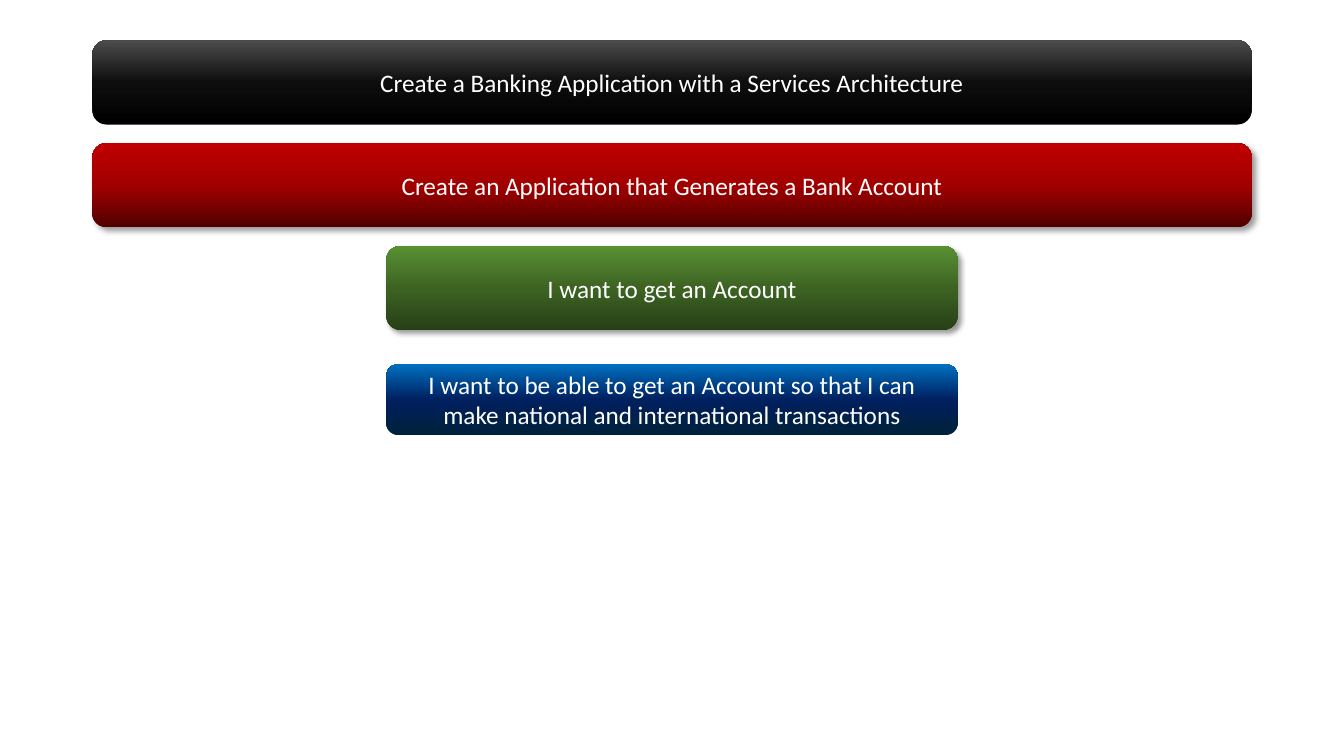
from copy import deepcopy

from lxml import etree
from pptx import Presentation
from pptx import util as u
from pptx.dml.color import RGBColor
from pptx.enum import shapes, text
from pptx.oxml.ns import qn

COLOURS = {
    "text": "FFFFFF",
    "shadow": "000000",
    "architecture": ("000000", "0D0D0D", "4C4C4C"),
    "application": ("500000", "A20000", "C00000"),
    "need": ("274017", "3D6323", "589133"),
    "story": ("002139", "002060", "0070C0"),
}


class BannerSlide:
    """Draws centred banners on a grid of 16 columns and evenly spaced rows."""

    font_name = "Calibri"
    font_size = u.Pt(18)
    top = u.Inches(0.4)
    row = u.Inches(1.02)

    def __init__(self, deck):
        self.width = deck.slide_width
        self.column = deck.slide_width / 16
        self.slide = deck.slides.add_slide(deck.slide_layouts[6])

    def banner(self, words, colours, row, columns, rows=0.82, shadow=False):
        width = round(columns * self.column)
        box = self.slide.shapes.add_shape(
            shapes.MSO_SHAPE.ROUNDED_RECTANGLE,
            (self.width - width) // 2, round(self.top + row * self.row),
            width, round(rows * self.row))
        self.gradient(box, colours)
        box.line.fill.background()
        box.shadow.inherit = False
        if shadow:
            self.cast_shadow(box)
        self.label(box.text_frame, words)

    def gradient(self, box, colours):
        """Fill upwards with three evenly spaced colours."""
        box.fill.gradient()
        box.fill.gradient_angle = 90
        first = box._element.spPr.find(".//" + qn("a:gs"))
        first.addnext(deepcopy(first))
        for index, stop in enumerate(box.fill.gradient_stops):
            stop.position = index / 2
            stop.color.rgb = RGBColor.from_string(colours[index])

    def cast_shadow(self, box):
        effects = box._element.spPr.find(qn("a:effectLst"))
        outer = etree.SubElement(
            effects, qn("a:outerShdw"), blurRad=str(u.Pt(4)), dist=str(u.Pt(3)),
            dir=str(45 * 60000), algn="tl", rotWithShape="0")
        colour = etree.SubElement(outer, qn("a:srgbClr"), val=COLOURS["shadow"])
        etree.SubElement(colour, qn("a:alpha"), val="40000")

    def label(self, frame, words):
        frame.word_wrap = True
        frame.vertical_anchor = text.MSO_ANCHOR.MIDDLE
        para = frame.paragraphs[0]
        para.alignment = text.PP_ALIGN.CENTER
        span = para.add_run()
        span.text = words
        span.font.name = self.font_name
        span.font.size = self.font_size
        span.font.color.rgb = RGBColor.from_string(COLOURS["text"])


def main():
    deck = Presentation()
    deck.slide_width, deck.slide_height = u.Inches(13.33), u.Inches(7.5)
    page = BannerSlide(deck)
    wide, narrow = 13.8, 6.8
    page.banner("I want to be able to get an Account so that I can make national "
                "and international transactions",
                COLOURS["story"], 3.15, narrow, rows=0.69)
    page.banner("Create a Banking Application with a Services Architecture",
                COLOURS["architecture"], 0, wide)
    page.banner("Create an Application that Generates a Bank Account",
                COLOURS["application"], 1, wide, shadow=True)
    page.banner("I want to get an Account",
                COLOURS["need"], 2, narrow, shadow=True)
    deck.save("out.pptx")


if __name__ == "__main__":
    main()
